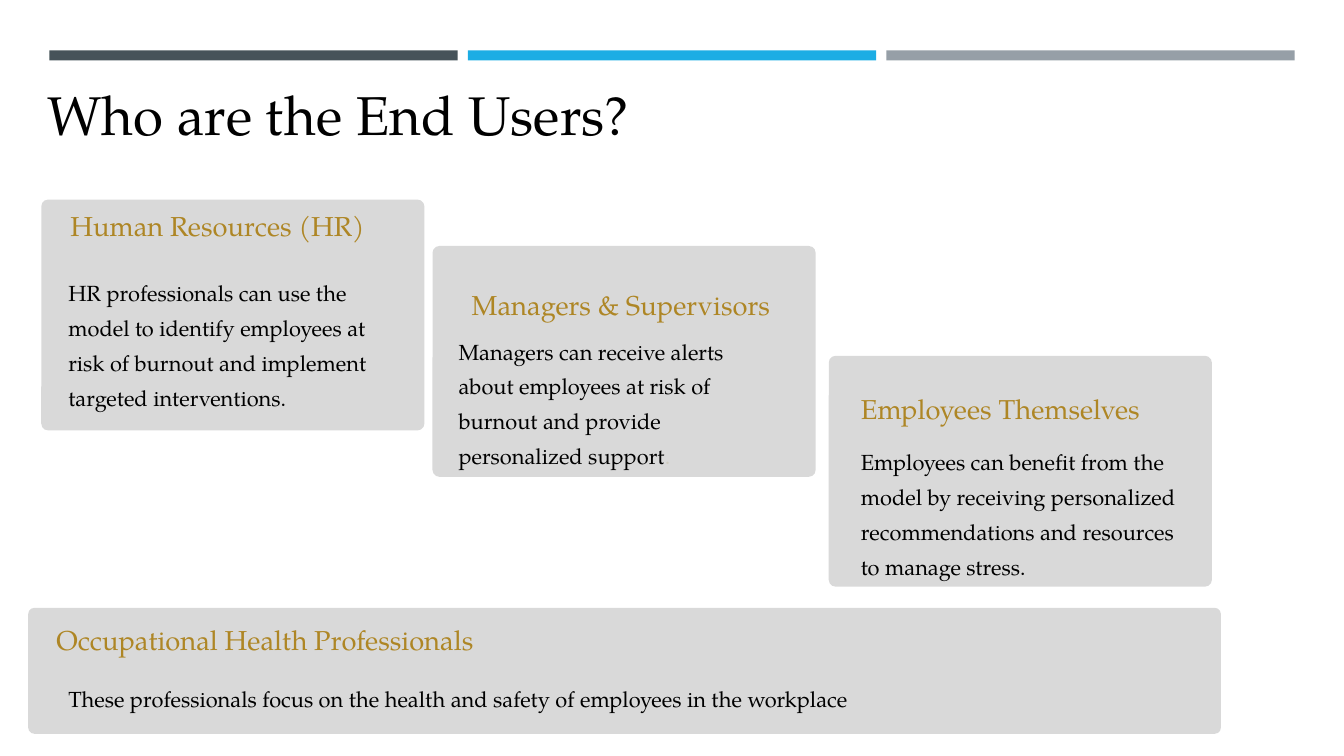
from pptx import Presentation, util as u
from pptx.dml.color import RGBColor
from pptx.enum import shapes, text

PX = 9144  # EMU in one hundredth of an inch
FONT = "TeX Gyre Pagella"
C = {"dark": "465359", "blue": "1CADE4", "grey": "969FA7", "card": "D9D9D9",
     "gold": "AE8625", "black": "000000", "faint": "CFCBBF"}


def px(*values):
    return [v * PX for v in values]


def write(sp, *runs, size, line, color="black", right=0):
    tf = sp.text_frame
    tf.word_wrap = True
    tf.auto_size = text.MSO_AUTO_SIZE.NONE
    tf.vertical_anchor = text.MSO_ANCHOR.TOP
    tf.margin_left, tf.margin_top, tf.margin_right, tf.margin_bottom = px(10, 5, right, 0)
    p = tf.paragraphs[0]
    p.alignment = text.PP_ALIGN.LEFT
    p.line_spacing = u.Pt(line)
    p.space_before = u.Pt(0)
    for i, words in enumerate(runs):
        r = p.add_run()
        r.text = words
        r.font.name, r.font.size = FONT, u.Pt(size)
        r.font.color.rgb = RGBColor.from_string(C["faint" if i else color])


prs = Presentation()
prs.slide_width, prs.slide_height = px(1333, 750)
s = prs.slides.add_slide(prs.slide_layouts[5])

# Top bars and cards: kind, box, corner radius, colour
RECT, ROUND = shapes.MSO_SHAPE.RECTANGLE, shapes.MSO_SHAPE.ROUNDED_RECTANGLE
panels = [(RECT, (49 + 415 * i, 50, 405, 10), None, name)
          for i, name in enumerate(("dark", "blue", "grey"))]
panels += [(ROUND, (x, y, 380, 229), 0.03, "card")
           for x, y in ((41, 198), (429, 244), (822, 353))]
panels.append((ROUND, (28, 603, 1183, 125), 0.05, "card"))
for kind, box, corner, color in panels:
    sp = s.shapes.add_shape(kind, *px(*box))
    sp.shadow.inherit = False
    sp.fill.solid()
    sp.fill.fore_color.rgb = RGBColor.from_string(C[color])
    sp.line.fill.background()
    if corner:
        sp.adjustments[0] = corner

# Title
title = s.shapes.title
title.left, title.top, title.width, title.height = px(37, 72, 630, 68)
write(title, "Who are the End Users?", size=39, line=48.8)

# Card wording: heading, its box, body runs, their box
users = [
    ("Human Resources (HR)", (60, 201, 309, 34),
     ["HR professionals can use the model to identify employees at risk of burnout "
      "and implement targeted interventions."], (58, 264, 337, 139)),
    ("Managers & Supervisors", (458, 280, 321, 34),
     ["Managers can receive alerts about employees at risk of burnout and provide "
      "personalized support", "."], (445, 322, 337, 139)),
    ("Employees Themselves", (844, 383, 304, 34),
     ["Employees can benefit from the model by receiving personalized "
      "recommendations and resources to manage stress."], (844, 432, 337, 139)),
    ("Occupational Health Professionals", (46, 612, 451, 34),
     ["These professionals focus on the health and safety of employees in the "
      "workplace"], (58, 667, 1140, 35)),
]
for heading, head_box, body, body_box in users:
    write(s.shapes.add_textbox(*px(*head_box)), heading, size=19.5, line=24.4, color="gold")
    write(s.shapes.add_textbox(*px(*body_box)), *body, size=15.6, line=24.9, right=10)

prs.save("out.pptx")
